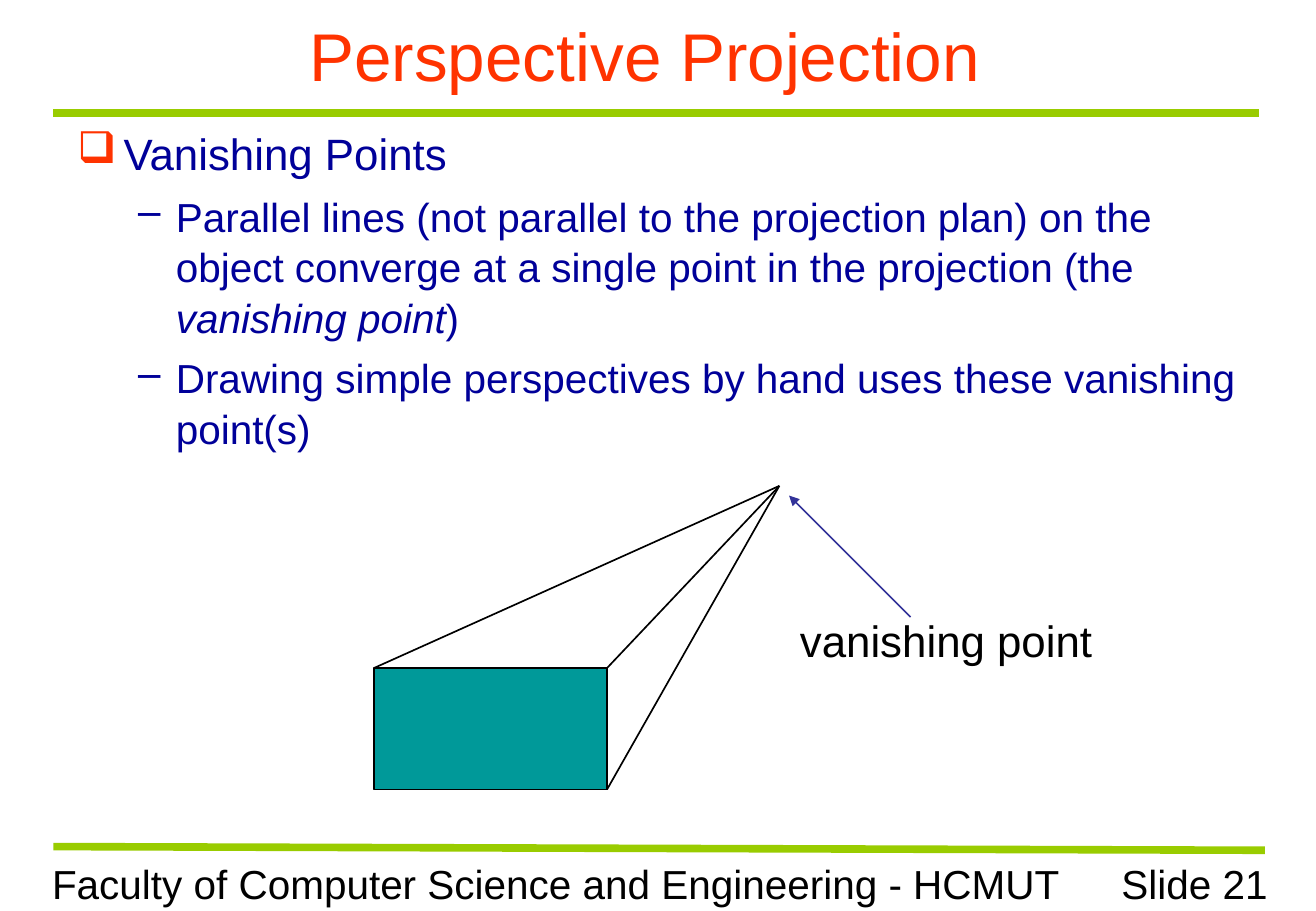
from lxml import etree
from pptx import Presentation
from pptx.dml.color import RGBColor
from pptx.enum.shapes import MSO_CONNECTOR, MSO_SHAPE
from pptx.enum.text import MSO_ANCHOR, PP_ALIGN
from pptx.oxml.ns import qn
from pptx.util import Inches, Pt

STRAIGHT = MSO_CONNECTOR.STRAIGHT
RECTANGLE = MSO_SHAPE.RECTANGLE
MIDDLE, TOP = MSO_ANCHOR.MIDDLE, MSO_ANCHOR.TOP
LEFT, CENTER, RIGHT = PP_ALIGN.LEFT, PP_ALIGN.CENTER, PP_ALIGN.RIGHT

ORANGE, GREEN, NAVY = "FF3300", "99CC00", "000099"
TEAL, INDIGO, BLACK = "009999", "333399", "000000"


def color(hex_code):
    return RGBColor.from_string(hex_code)


def set_font(paragraph, size, hex_code):
    paragraph.font.name = "Arial"
    paragraph.font.size = Pt(size)
    paragraph.font.color.rgb = color(hex_code)


def add_text_frame(slide, box, anchor=TOP, wrap=True):
    frame = slide.shapes.add_textbox(*map(Inches, box)).text_frame
    frame.word_wrap = wrap
    frame.vertical_anchor = anchor
    return frame


def add_label(slide, box, text, size, hex_code, align=LEFT, anchor=TOP, wrap=True):
    label = add_text_frame(slide, box, anchor, wrap).paragraphs[0]
    label.text = text
    label.alignment = align
    set_font(label, size, hex_code)


def add_line(slide, start, end, hex_code, width, arrow=False):
    line = slide.shapes.add_connector(STRAIGHT, *map(Inches, (*start, *end)))
    line.line.color.rgb = color(hex_code)
    line.line.width = Pt(width)
    properties = line._element.spPr
    if arrow:
        outline = properties.find(qn("a:ln"))
        etree.SubElement(outline, qn("a:tailEnd"), type="triangle")
    etree.SubElement(properties, qn("a:effectLst"))


def add_bullet(paragraph, symbol, hex_code, margin, hanging):
    properties = paragraph._p.get_or_add_pPr()
    properties.set("marL", str(Inches(margin)))
    properties.set("indent", str(-Inches(hanging)))
    bullet_color = etree.SubElement(properties, qn("a:buClr"))
    etree.SubElement(bullet_color, qn("a:srgbClr"), val=hex_code)
    etree.SubElement(properties, qn("a:buChar"), char=symbol)


def add_header(slide, box):
    left, top, width, height = box
    add_label(slide, box, "Perspective Projection", 40, ORANGE, CENTER, MIDDLE)
    rule_y = top + height + 0.13
    add_line(slide, (left + 0.11, rule_y), (left + width + 0.08, rule_y), GREEN, 4.5)


def add_footer(slide, box):
    left, top, width, height = box
    add_line(slide, (left + 0.11, top - 0.05), (left + width - 0.12, top - 0.02), GREEN, 4.5)
    add_label(slide, (left, top, 8.52, height),
              "Faculty of Computer Science and Engineering - HCMUT", 24, BLACK)
    number_width = 1.99
    add_label(slide, (left + width - number_width, top, number_width, height),
              "Slide 21", 24, BLACK, RIGHT)


def add_body(slide, box):
    frame = add_text_frame(slide, box)
    heading = frame.paragraphs[0]
    heading.text = "Vanishing Points"
    heading.line_spacing = 1.04
    add_bullet(heading, "❑", ORANGE, 0.38, 0.38)
    set_font(heading, 26, NAVY)

    points = [
        [("Parallel lines (not parallel to the projection plan) on the object "
          "converge at a single point in the projection (the ", False),
         ("vanishing point", True), (")", False)],
        [("Drawing simple perspectives by hand uses these vanishing point(s)", False)],
    ]
    for pieces in points:
        point = frame.add_paragraph()
        point.level = 1
        point.line_spacing = 1.04
        point.space_before = Pt(6)
        add_bullet(point, "–", NAVY, 0.81, 0.31)
        set_font(point, 24, NAVY)
        for text, italic in pieces:
            run = point.add_run()
            run.text = text
            if italic:
                run.font.italic = True


def add_diagram(slide, box):
    left, top, width, height = box
    face_width, face_height = 1.92, 1
    right, bottom = left + face_width, top + height
    face_top = bottom - face_height
    face = slide.shapes.add_shape(
        RECTANGLE, *map(Inches, (left, face_top, face_width, face_height)))
    face.shadow.inherit = False
    face.fill.solid()
    face.fill.fore_color.rgb = color(TEAL)
    face.line.color.rgb = color(BLACK)
    face.line.width = Pt(0.75)

    vanishing_x = left + 3.34
    for corner in ((right, bottom), (right, face_top), (left, face_top)):
        add_line(slide, corner, (vanishing_x, top), BLACK, 1)

    tip_x, tip_y = vanishing_x + 0.08, top + 0.08
    add_line(slide, (tip_x + 1, tip_y + 1), (tip_x, tip_y), INDIGO, 1, arrow=True)
    label_width = 2.61
    add_label(slide, (left + width - label_width, top + 1, label_width, 0.54),
              "vanishing point", 26, BLACK, wrap=False)


def main():
    presentation = Presentation()
    presentation.slide_width = Inches(10.84)
    presentation.slide_height = Inches(7.5)
    slide = presentation.slides.add_slide(presentation.slide_layouts[6])
    add_header(slide, (0.33, 0.1, 9.96, 0.7))
    add_body(slide, (0.54, 0.98, 9.77, 2.87))
    add_diagram(slide, (3.08, 4, 6.02, 2.5))
    add_footer(slide, (0.33, 7.02, 10.21, 0.5))
    presentation.save("out.pptx")


if __name__ == "__main__":
    main()
